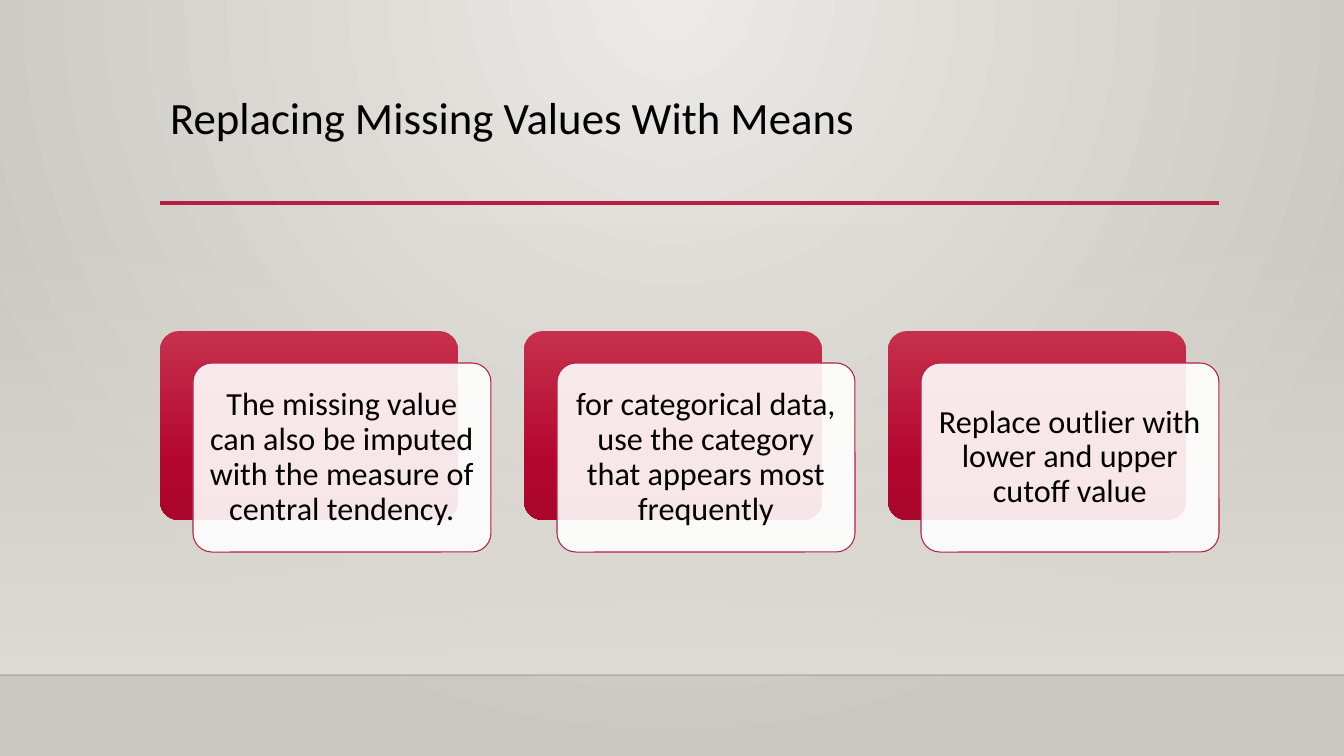
from dataclasses import dataclass

from lxml import etree
from pptx import Presentation
from pptx import util as u
from pptx.dml.color import RGBColor
from pptx.enum import shapes, text
from pptx.oxml.ns import qn

SLIDE_W, SLIDE_H = 1344, 756
EMU_PER_PX = 12192000 / SLIDE_W


@dataclass(frozen=True)
class Theme:
    font: str = "Calibri"
    title_size: int = 32
    card_size: int = 23
    ink: str = "000000"
    accent: str = "B71E42"
    card: str = "FFFFFF"
    backdrop: tuple = ((0, "ECEAE7", 100), (100, "CAC7C1", 100))
    wall: tuple = ((0, "DFDBD5", 0), (100, "DFDBD5", 100))
    panel: tuple = ((0, "C7304C", 100), (69, "B3062F", 100), (100, "AA062C", 100))


THEME = Theme()
TITLE = "Replacing Missing Values With Means"
CARDS = (
    "The missing value can also be imputed with the measure of central tendency.",
    "for categorical data, use the category that appears most frequently",
    "Replace outlier with lower and upper cutoff value",
)
LEFT, RIGHT = 160, 1219
CARD_W, CARD_H, CARD_TOP = 298, 189, 331
CARD_PITCH, SHIFT_X, SHIFT_Y = 364, 33, 32


def px(n):
    return u.Emu(round(n * EMU_PER_PX))


def rgb(value):
    return RGBColor.from_string(value)


def set_alpha(parent, percent):
    """Set the opacity of the first colour found under parent."""
    color = parent.find(".//" + qn("a:srgbClr"))
    etree.SubElement(color, qn("a:alpha"), val=str(percent * 1000))


def set_gradient(fill, owner, stops, radial=False):
    """Fill with (position, colour, opacity) stops, downwards or out from the top centre."""
    fill.gradient()
    grad = owner.find(".//" + qn("a:gradFill"))
    for child in list(grad):
        grad.remove(child)
    stop_list = etree.SubElement(grad, qn("a:gsLst"))
    for position, color, opacity in stops:
        stop = etree.SubElement(stop_list, qn("a:gs"), pos=str(position * 1000))
        etree.SubElement(stop, qn("a:srgbClr"), val=color)
        if opacity < 100:
            set_alpha(stop, opacity)
    if radial:
        route = etree.SubElement(grad, qn("a:path"), path="circle")
        etree.SubElement(route, qn("a:fillToRect"), l="43000", t="0", r="43000", b="100000")
    else:
        etree.SubElement(grad, qn("a:lin"), ang="5400000", scaled="0")


def add_box(slide, x, y, w, h, kind=shapes.MSO_SHAPE.RECTANGLE):
    sp = slide.shapes.add_shape(kind, px(x), px(y), px(w), px(h))
    sp.shadow.inherit = False
    sp.line.fill.background()
    return sp


def add_rounded(slide, x, y):
    sp = add_box(slide, x, y, CARD_W, CARD_H, shapes.MSO_SHAPE.ROUNDED_RECTANGLE)
    sp.adjustments[0] = 0.1
    return sp


def add_rule(slide, x1, x2, y, color, width, opacity=100):
    line = slide.shapes.add_connector(
        shapes.MSO_CONNECTOR.STRAIGHT, px(x1), px(y), px(x2), px(y))
    line.line.color.rgb = rgb(color)
    line.line.width = u.Pt(width)
    sp_pr = line._element.spPr
    if opacity < 100:
        set_alpha(sp_pr, opacity)
    etree.SubElement(sp_pr, qn("a:effectLst"))


def write(sp, words, size, align=text.PP_ALIGN.LEFT,
          anchor=text.MSO_ANCHOR.TOP, inset_x=10, inset_y=5):
    tf = sp.text_frame
    tf.word_wrap = True
    tf.vertical_anchor = anchor
    tf.margin_left = tf.margin_right = px(inset_x)
    tf.margin_top = tf.margin_bottom = px(inset_y)
    p = tf.paragraphs[0]
    p.alignment = align
    p.line_spacing = 0.9
    r = p.add_run()
    r.text = words
    r.font.name = THEME.font
    r.font.size = u.Pt(size)
    r.font.color.rgb = rgb(THEME.ink)


def add_backdrop(slide):
    set_gradient(slide.background.fill, slide._element, THEME.backdrop, radial=True)
    wall = add_box(slide, 0, 223, SLIDE_W, 452)
    set_gradient(wall.fill, wall._element, THEME.wall)
    add_rule(slide, 0, SLIDE_W, 675, THEME.ink, 1, opacity=20)


def add_title(slide):
    add_rule(slide, LEFT, RIGHT, 203, THEME.accent, 2.5)
    sp = slide.shapes.add_textbox(px(LEFT), px(91), px(RIGHT - LEFT), px(112))
    write(sp, TITLE, THEME.title_size)


def add_card(slide, x, words):
    """Add a red panel with a translucent text card shifted down and right."""
    panel = add_rounded(slide, x, CARD_TOP)
    set_gradient(panel.fill, panel._element, THEME.panel)
    card = add_rounded(slide, x + SHIFT_X, CARD_TOP + SHIFT_Y)
    card.fill.solid()
    card.fill.fore_color.rgb = rgb(THEME.card)
    set_alpha(card._element.spPr, 90)
    card.line.color.rgb = rgb(THEME.accent)
    card.line.width = u.Pt(0.75)
    write(card, words, THEME.card_size, align=text.PP_ALIGN.CENTER,
          anchor=text.MSO_ANCHOR.MIDDLE, inset_y=10)


def main():
    prs = Presentation()
    prs.slide_width, prs.slide_height = px(SLIDE_W), px(SLIDE_H)
    slide = prs.slides.add_slide(prs.slide_layouts[6])
    add_backdrop(slide)
    add_title(slide)
    for i, words in enumerate(CARDS):
        add_card(slide, LEFT + i * CARD_PITCH, words)
    prs.save("out.pptx")


if __name__ == "__main__":
    main()
